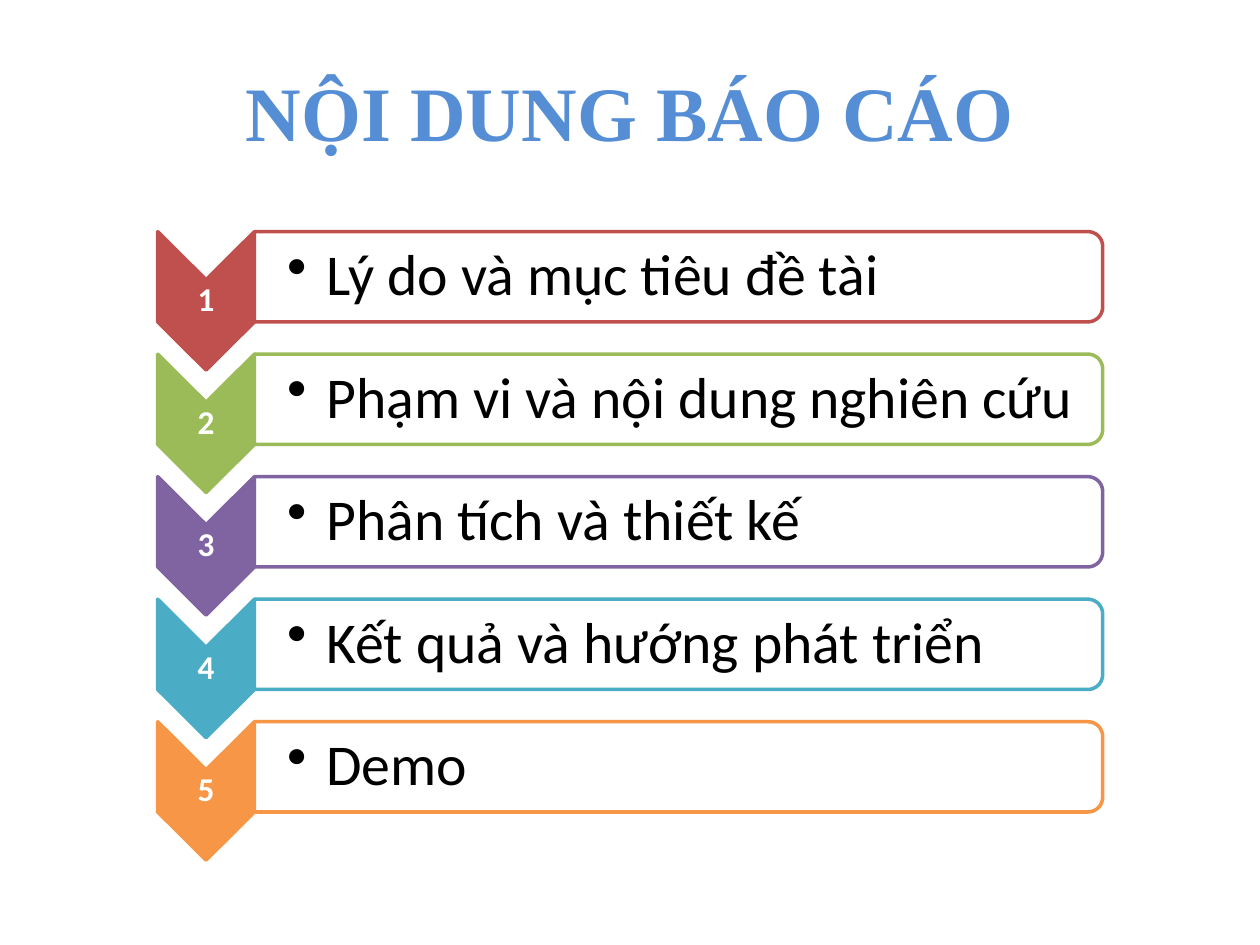
from math import cos, pi, sin

from lxml import etree
from pptx import Presentation
from pptx.dml.color import RGBColor
from pptx.enum.text import MSO_ANCHOR, PP_ALIGN
from pptx.oxml.ns import qn
from pptx.util import Cm, Pt

MID = MSO_ANCHOR.MIDDLE
LEFT, CENTER = PP_ALIGN.LEFT, PP_ALIGN.CENTER

HEAD = "NỘI DUNG BÁO CÁO"
ITEMS = [
    ("Lý do và mục tiêu đề tài", "red"),
    ("Phạm vi và nội dung nghiên cứu", "green"),
    ("Phân tích và thiết kế", "purple"),
    ("Kết quả và hướng phát triển", "teal"),
    ("Demo", "orange"),
]
HUES = {
    "title": "558ED5", "white": "FFFFFF", "black": "000000",
    "red": "C0504D", "green": "9BBB59", "purple": "8064A2",
    "teal": "4BACC6", "orange": "F79646",
}

EDGE, TOP, STEP = 3.18, 4.67, 2.47
WIDE, SIDE, TIP = 1.95, 1.82, 0.97
BAR, ROUND = 17.1, 0.3
TURNS = 12


def color(name):
    return RGBColor.from_string(HUES[name])


def write(shape, text, size=33, font="Calibri", hue="black", bold=False,
          align=LEFT, pad=None, line=None, after=None, bullet=None):
    frame = shape.text_frame
    frame.word_wrap = True
    frame.vertical_anchor = MID
    if pad:
        (frame.margin_left, frame.margin_top,
         frame.margin_right, frame.margin_bottom) = map(Cm, pad)
    par = frame.paragraphs[0]
    par.alignment = align
    if line:
        par.line_spacing = line
    if after:
        par.space_after = Pt(after)
    if bullet:
        par.level = 1
        props = par._p.get_or_add_pPr()
        props.set("marL", str(Cm(0.79)))
        props.set("indent", str(-Cm(0.79)))
        etree.SubElement(props, qn("a:buChar"), char=bullet)
    run = par.add_run()
    run.text = text
    run.font.size = Pt(size)
    run.font.name = font
    run.font.bold = bold
    run.font.color.rgb = color(hue)


def draw(slide, dots, fill, edge):
    dots = [(Cm(x), Cm(y)) for x, y in dots]
    path = slide.shapes.build_freeform(*dots[0])
    path.add_line_segments(dots[1:], close=True)
    shape = path.convert_to_shape()
    shape.shadow.inherit = False
    shape.fill.solid()
    shape.fill.fore_color.rgb = color(fill)
    shape.line.color.rgb = color(edge)
    shape.line.width = Pt(2)
    return shape


def arrow(x, y):
    mid, end = x + WIDE / 2, x + WIDE
    return [(end, y), (end, y + SIDE), (mid, y + SIDE + TIP),
            (x, y + SIDE), (x, y), (mid, y + TIP)]


def panel(x, y):
    turn = [pi / 2 * n / TURNS for n in range(TURNS + 1)]
    cx = x + BAR - ROUND
    high = [(cx + ROUND * sin(a), y + ROUND - ROUND * cos(a)) for a in turn]
    low = [(cx + ROUND * cos(a), y + SIDE - ROUND + ROUND * sin(a))
           for a in turn]
    return [(x, y), *high, *low, (x, y + SIDE)]


def main():
    deck = Presentation()
    deck.slide_width, deck.slide_height = Cm(25.4), Cm(19.05)
    slide = deck.slides.add_slide(deck.slide_layouts[5])

    title = slide.shapes.title
    title.left, title.top = Cm(4.55), Cm(0.64)
    title.width, title.height = Cm(16.3), Cm(3.18)
    write(title, HEAD, size=44, font="Times New Roman", hue="title",
          bold=True, align=CENTER)

    for row, (text, hue) in enumerate(ITEMS):
        y = TOP + row * STEP
        mark = draw(slide, arrow(EDGE, y), hue, hue)
        write(mark, str(row + 1), size=19, hue="white", bold=True,
              align=CENTER, pad=(0.03, 1.02, 0.03, 1.02), line=0.9, after=8.2)
        box = draw(slide, panel(EDGE + WIDE, y), "white", hue)
        tint = box.fill._xPr.find(qn("a:solidFill"))[0]
        etree.SubElement(tint, qn("a:alpha"), val="90000")
        write(box, text, pad=(0.66, 0.15, 0.15, 0.15), line=0.9, after=6.1,
              bullet="•")

    deck.save("out.pptx")


if __name__ == "__main__":
    main()
